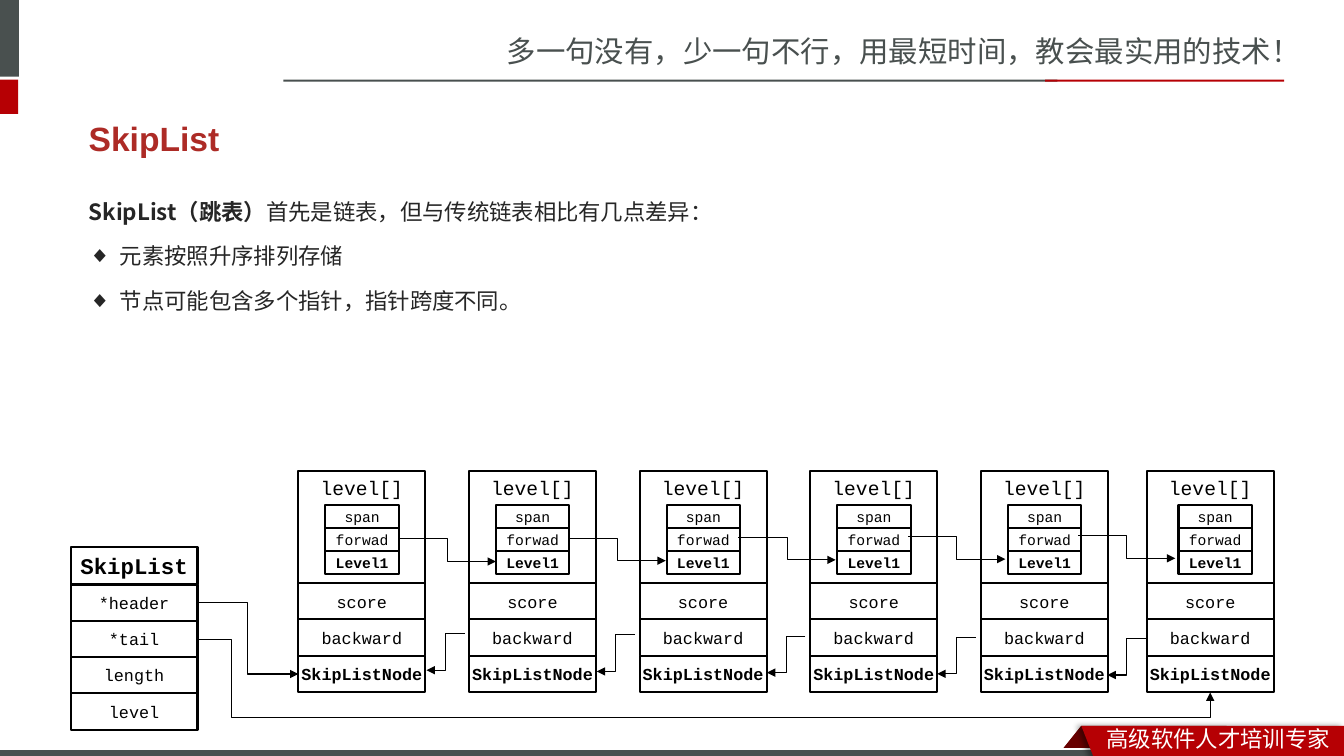
from dataclasses import dataclass
from typing import Any, NamedTuple

from lxml.etree import SubElement
from pptx import Presentation
from pptx.dml.color import RGBColor
from pptx.enum.shapes import MSO_CONNECTOR, MSO_SHAPE
from pptx.enum.text import MSO_ANCHOR, MSO_AUTO_SIZE, PP_ALIGN
from pptx.oxml.ns import qn
from pptx.util import Cm, Pt


@dataclass(frozen=True)
class Theme:
    gray: str = "49504F"
    red: str = "B60004"
    dark: str = "680000"
    title: str = "AD2B26"
    body: str = "262626"
    white: str = "FFFFFF"
    black: str = "000000"
    sans: str = "Arial"
    mono: str = "Courier New"
    song: str = "Noto Sans CJK SC"
    text: str = "Noto Sans CJK JP"
    head: float = 24
    motto: float = 21
    big: float = 16
    mid: float = 14
    base: float = 12
    small: float = 10.5


class Box(NamedTuple):
    x: float
    y: float
    w: float
    h: float


class Bar(NamedTuple):
    box: Box
    color: str


class Label(NamedTuple):
    box: Box
    text: str
    size: float
    color: str


class Cell(NamedTuple):
    text: str
    y: float
    h: float
    size: float
    bold: bool = False
    anchor: Any = MSO_ANCHOR.MIDDLE


class Link(NamedTuple):
    x: float
    y: float
    dx: float
    dy: float


T = Theme()
ROW = 0.93
STEP = 4.3
COUNT = 6

BARS = [
    Bar(Box(-0.15, 0, 0.63, 1.93), T.gray),
    Bar(Box(-0.15, 2.01, 0.61, 0.86), T.red),
    Bar(Box(7.14, 2.01, 19.51, 0.05), T.gray),
    Bar(Box(26.34, 2.01, 6.02, 0.05), T.red),
    Bar(Box(0, 18.9, 27.91, 0.23), T.gray),
]
MOTTO = Label(Box(12.52, 0.71, 21.36, 1.19),
              "多一句没有，少一句不行，用最短时间，教会最实用的技术！", T.motto, T.gray)
SLOGAN = Label(Box(27.64, 18.16, 6.22, 0.94), "高级软件人才培训专家", T.big, T.white)
LEAD = ("SkipList（跳表）", "首先是链表，但与传统链表相比有几点差异：")
POINTS = ["元素按照升序排列存储", "节点可能包含多个指针，指针跨度不同。"]

LIST = [Cell("SkipList", 13.78, ROW, T.big, True)] + [
    Cell(name, 14.73 + 0.91 * i, ROW, T.base)
    for i, name in enumerate(["*header", "*tail", "length", "level"])
]
NODE = [
    Cell("level[]", 11.86, 2.84, T.mid, anchor=MSO_ANCHOR.TOP),
    Cell("score", 14.7, ROW, T.base),
    Cell("backward", 15.6, ROW, T.base),
    Cell("SkipListNode", 16.52, ROW, T.base, True),
]
LEVEL = [
    Cell(name, 12.73 + 0.58 * i, 0.58, T.small, name == "Level1")
    for i, name in enumerate(["span", "forwad", "Level1"])
]


def rgb(color: str) -> RGBColor:
    return RGBColor.from_string(color)


def cms(box: Box) -> list[Cm]:
    return [Cm(v) for v in box]


def style(para, font: str, size: float, color: str, bold: bool = False) -> None:
    """Set the paragraph font for Latin and East Asian text."""
    face = para.font
    face.name, face.size, face.bold = font, Pt(size), bold
    face.color.rgb = rgb(color)
    SubElement(face._rPr, qn("a:ea"), typeface=font)


def paint(shape, color: str) -> None:
    shape.shadow.inherit = False
    shape.fill.solid()
    shape.fill.fore_color.rgb = rgb(color)
    shape.line.fill.background()


def block(shapes, bar: Bar, kind=MSO_SHAPE.RECTANGLE):
    shape = shapes.add_shape(kind, *cms(bar.box))
    paint(shape, bar.color)
    return shape


def label(shapes, item: Label) -> None:
    frame = shapes.add_textbox(*cms(item.box)).text_frame
    frame.word_wrap = True
    para = frame.paragraphs[0]
    para.text = item.text
    style(para, T.song, item.size, item.color)


def banner(shapes) -> None:
    edge = [(33.87, 18.29), (33.87, 19.15), (27.58, 19.13)]
    pen = shapes.build_freeform(Cm(27.25), Cm(18.29))
    pen.add_line_segments([(Cm(x), Cm(y)) for x, y in edge])
    shape = pen.convert_to_shape()
    paint(shape, T.red)
    glow = SubElement(shape._element.spPr.find(qn("a:effectLst")), qn("a:outerShdw"),
                      blurRad=str(Pt(4)), dist=str(Pt(3)), dir="10800000")
    tint = SubElement(glow, qn("a:srgbClr"), val=T.black)
    SubElement(tint, qn("a:alpha"), val="40000")


def stack(shapes, x: float, w: float, cells: list[Cell]) -> list:
    """Draw a column of framed cells and return their shapes."""
    made = []
    for cell in cells:
        shape = block(shapes, Bar(Box(x, cell.y, w, cell.h), T.white))
        shape.line.color.rgb = rgb(T.black)
        shape.line.width = Pt(1.5)
        frame = shape.text_frame
        frame.margin_left = frame.margin_right = 0
        frame.vertical_anchor = cell.anchor
        para = frame.paragraphs[0]
        para.text, para.alignment = cell.text, PP_ALIGN.CENTER
        style(para, T.mono, cell.size, T.black, cell.bold)
        made.append(shape)
    return made


def arrow(shapes, link: Link):
    x, y, dx, dy = link
    line = shapes.add_connector(MSO_CONNECTOR.ELBOW, Cm(x), Cm(y), Cm(x + dx), Cm(y + dy))
    line.line.color.rgb = rgb(T.black)
    line.line.width = Pt(0.75)
    SubElement(line.line._get_or_add_ln(), qn("a:tailEnd"), type="triangle")
    SubElement(line._element.spPr, qn("a:effectLst"))
    return line


def glue(shapes, start, end, site: int):
    """Link the right side of start to a connection site of end."""
    line = arrow(shapes, Link(0, 0, 1, 1))
    line.begin_connect(start, 3)
    line.end_connect(end, site)
    return line


def graph(shapes) -> None:
    rows = stack(shapes, 1.78, 3.2, LIST)
    spots = [7.52 + STEP * i for i in range(COUNT - 1)] + [28.9]
    nodes = [stack(shapes, x, 3.2, NODE) for x in spots]
    for i in range(COUNT):
        stack(shapes, 8.2 + STEP * i, 1.85, LEVEL)
    for i in range(COUNT - 1):
        arrow(shapes, Link(10.05 + 4.28 * i, 13.58 - 0.02 * i, 2.45, 0.57))
        arrow(shapes, Link(11.72 + 4.29 * i, 15.97 + 0.03 * i, -0.97, 0.92))
    glue(shapes, rows[1], nodes[0][-1], 1)
    tail = glue(shapes, rows[2], nodes[-1][-1], 2)
    geom = tail._element.spPr.find(qn("a:prstGeom"))
    geom.set("prst", "bentConnector4")
    for name, val in (("adj1", 3400), ("adj2", 146900)):
        SubElement(geom.find(qn("a:avLst")), qn("a:gd"), name=name, fmla=f"val {val}")


def place(holder, box: Box):
    holder.left, holder.top, holder.width, holder.height = cms(box)
    holder.text_frame.auto_size = MSO_AUTO_SIZE.NONE
    return holder.text_frame


def words(slide) -> None:
    """Fill the title and the list."""
    para = place(slide.shapes.title, Box(1.98, 2.95, 29.72, 1.07)).paragraphs[0]
    para.text, para.alignment = "SkipList", PP_ALIGN.LEFT
    style(para, T.sans, T.head, T.title, True)

    frame = place(slide.placeholders[1], Box(1.98, 4.52, 29.72, 7.67))
    lead = frame.paragraphs[0]
    for text, bold in zip(LEAD, (True, False)):
        run = lead.add_run()
        run.text, run.font.bold = text, bold
    for text in POINTS:
        frame.add_paragraph().text = text
    for para in frame.paragraphs:
        para.line_spacing, para.space_before = 1.5, Pt(3.2)
        props = para._p.get_or_add_pPr()
        dent = 0 if para._p is lead._p else Cm(0.79)
        props.set("marL", str(dent))
        props.set("indent", str(-dent))
        if dent:
            SubElement(props, qn("a:buChar"), char="◆")
        else:
            SubElement(props, qn("a:buNone"))
        style(para, T.text, T.big, T.body)


def main() -> None:
    deck = Presentation()
    deck.slide_width, deck.slide_height = Cm(33.87), Cm(19.05)
    slide = deck.slides.add_slide(deck.slide_layouts[1])
    shapes = slide.shapes
    fold = block(shapes, Bar(Box(26.64, 18.29, 4.27, 0.76), T.dark), MSO_SHAPE.PARALLELOGRAM)
    fold.adjustments[0] = 0.8
    block(shapes, Bar(Box(0, 18.85, 33.87, 0.28), T.white))
    label(shapes, MOTTO)
    for bar in BARS:
        block(shapes, bar)
    banner(shapes)
    label(shapes, SLOGAN)
    words(slide)
    graph(shapes)
    deck.save("out.pptx")


if __name__ == "__main__":
    main()
